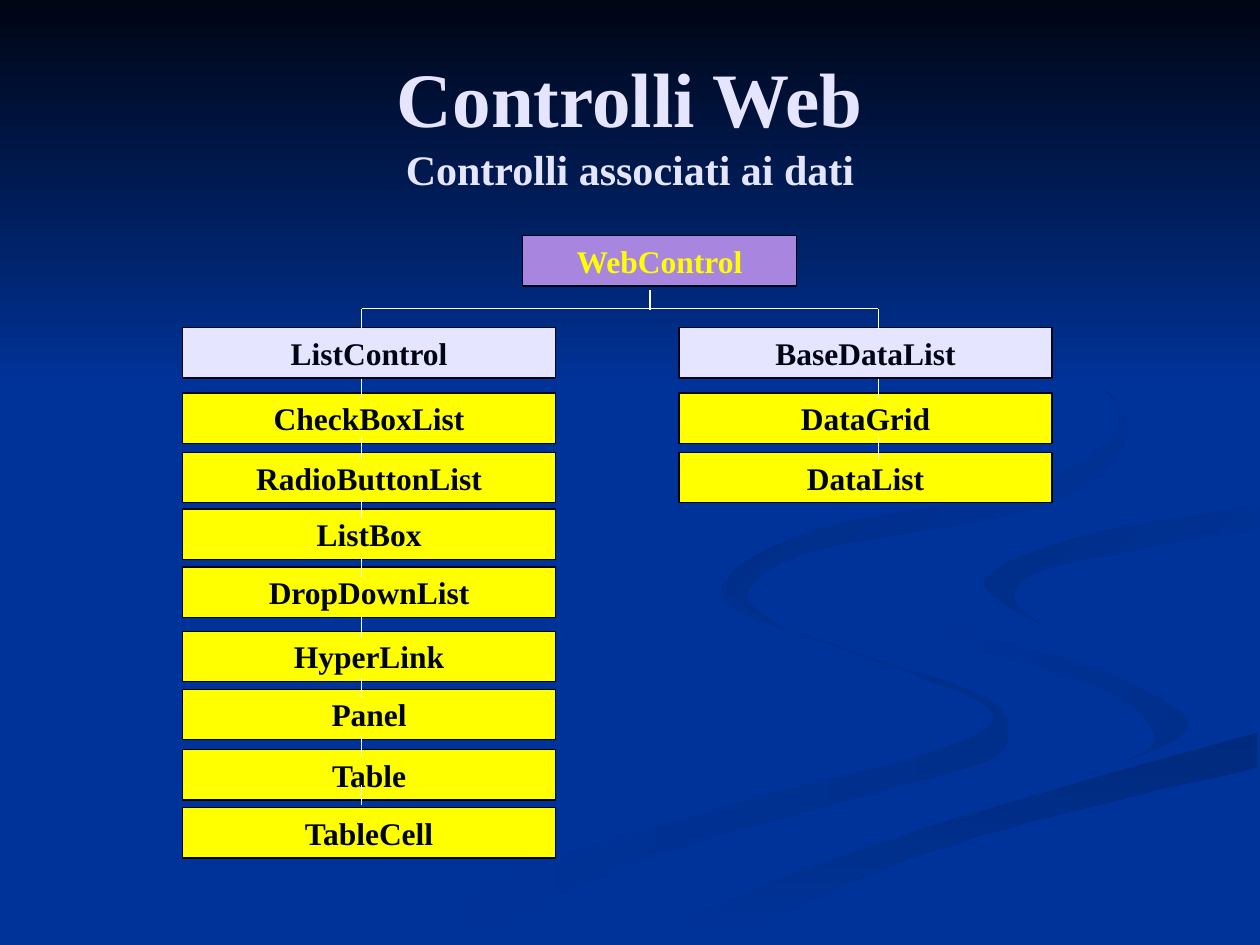
from pptx import Presentation
from pptx.dml.color import RGBColor
from pptx.enum.shapes import MSO_CONNECTOR, MSO_SHAPE
from pptx.enum.text import MSO_ANCHOR, PP_ALIGN
from pptx.oxml.ns import qn
from pptx.util import Pt
from lxml import etree

RECT, STRAIGHT = MSO_SHAPE.RECTANGLE, MSO_CONNECTOR.STRAIGHT
CENTER, MIDDLE = PP_ALIGN.CENTER, MSO_ANCHOR.MIDDLE
PX = 9144  # 100 px to the inch


class Theme:
    font = "Times New Roman"
    title_size, subtitle_size, box_size = 44, 24, 18
    hairline = 0.75
    blue, night, lavender = "003399", "000514", "E5E5FF"
    purple, yellow, white = "A886E0", "FFFF00", "FFFFFF"
    shades = ("002E8B", "002A7D", "002D86", "002B82")


# Content
TITLE = "Controlli Web"
SUBTITLE = "Controlli associati ai dati"
ROOT = "WebControl"
BRANCHES = [
    # heading, left edge, trunk x, children
    ("ListControl", 145, 287,
     ["CheckBoxList", "RadioButtonList", "ListBox", "DropDownList",
      "HyperLink", "Panel", "Table", "TableCell"]),
    ("BaseDataList", 539, 697, ["DataGrid", "DataList"]),
]

# Tree layout
ROOT_BOX = (415, 187, 217, 40)
ROOT_X, ROOT_LINK_TOP = 516, 230
BRANCH_TOP, BRANCH_W, BOX_H = 260, 296, 40
CHILD_TOPS = [312, 359, 404, 450, 501, 547, 595, 641]
LINK_TOPS = [301, 348, 395, 442, 490, 537, 584, 623]
LINK_H, RAIL_Y = 16, 245

# Background ribbons: gradient start, gradient end, clockwise angle,
# and the edges, each a smooth curve through a few points
DARK, DEEP, DIM, DUSK = Theme.shades
RIBBONS = [
    (Theme.blue, DARK, 0, [
        [(575, 459), (581, 483), (679, 519), (785, 562), (749, 594),
         (579, 639), (417, 690), (300, 749)],
        [(361, 749), (499, 687), (676, 634), (780, 605), (800, 581),
         (781, 553), (682, 519), (594, 485), (575, 459)]]),
    (Theme.blue, DARK, 45, [
        [(724, 464), (755, 505), (880, 549), (917, 585), (894, 605)],
        [(932, 589), (943, 570), (870, 530), (758, 498), (724, 464)]]),
    (DEEP, Theme.blue, 90, [
        [(571, 749), (695, 692), (821, 651), (998, 609)],
        [(998, 581), (797, 638), (630, 693), (503, 749)]]),
    (Theme.blue, Theme.blue, 0, [
        [(725, 464), (759, 498), (871, 530), (943, 570), (892, 605),
         (704, 655), (477, 749)],
        [(503, 749), (630, 693), (797, 638), (999, 581)],
        [(999, 538), (848, 503), (781, 463), (822, 434), (999, 402)],
        [(999, 387), (808, 417), (725, 464)]]),
    (DIM, Theme.blue, 45, [
        [(826, 496), (805, 472), (843, 448), (998, 420)],
        [(998, 402), (865, 424), (781, 460), (826, 496)]]),
    (DUSK, Theme.blue, 45, [
        [(622, 500), (593, 470), (649, 436), (825, 402), (894, 344),
         (843, 275), (762, 233)],
        [(846, 279), (889, 335), (818, 386), (649, 420), (577, 462),
         (622, 500)]]),
]
CURVE_STEPS = 6


def rgb(value):
    return RGBColor.from_string(value)


def px(*lengths):
    return [length * PX for length in lengths]


def style_font(font, size, color):
    font.name, font.size, font.bold = Theme.font, Pt(size), True
    font.color.rgb = rgb(color)


def smooth(knots):
    """Catmull-Rom curve through the knots."""
    padded = [knots[0], *knots, knots[-1]]
    curve = []
    for a, b, c, d in zip(padded, padded[1:], padded[2:], padded[3:]):
        for step in range(CURVE_STEPS):
            t = step / CURVE_STEPS
            curve.append(tuple(
                q + t / 2 * (r - p + t * (2 * p - 5 * q + 4 * r - s
                                          + t * (3 * (q - r) + s - p)))
                for p, q, r, s in zip(a, b, c, d)))
    return curve + [knots[-1]]


def paint(shape, start, end, angle):
    shape.shadow.inherit = False
    shape.line.fill.background()
    if start == end:
        shape.fill.solid()
        shape.fill.fore_color.rgb = rgb(start)
        return
    shape.fill.gradient()
    shape.fill.gradient_angle = (360 - angle) % 360
    for stop, color in zip(shape.fill.gradient_stops, (start, end)):
        stop.color.rgb = rgb(color)


def add_ribbon(slide, start, end, angle, edges):
    outline = [point for edge in edges for point in smooth(edge)]
    builder = slide.shapes.build_freeform(*outline[0], scale=PX)
    builder.add_line_segments(outline[1:], close=True)
    paint(builder.convert_to_shape(), start, end, angle)


def add_heading(slide):
    frame = slide.shapes.add_textbox(*px(50, 30, 900, 125)).text_frame
    frame.word_wrap, frame.vertical_anchor = True, MIDDLE
    frame.margin_top = 14 * PX
    heading = frame.paragraphs[0]
    heading.alignment = CENTER
    style_font(heading.font, Theme.title_size, Theme.lavender)
    heading.add_run().text = TITLE
    heading.add_line_break()
    subtitle = heading.add_run()
    subtitle.text = SUBTITLE
    subtitle.font.size = Pt(Theme.subtitle_size)


def add_box(slide, label, bounds, fill, color=Theme.night):
    box = slide.shapes.add_shape(RECT, *px(*bounds))
    box.shadow.inherit = False
    box.fill.solid()
    box.fill.fore_color.rgb = rgb(fill)
    box.line.color.rgb = rgb(Theme.night)
    box.line.width = Pt(Theme.hairline)
    box.text_frame.vertical_anchor = MIDDLE
    caption = box.text_frame.paragraphs[0]
    caption.text, caption.alignment = label, CENTER
    style_font(caption.font, Theme.box_size, color)


def add_link(slide, x1, y1, x2, y2):
    link = slide.shapes.add_connector(STRAIGHT, *px(x1, y1, x2, y2))
    link.line.color.rgb = rgb(Theme.white)
    link.line.width = Pt(Theme.hairline)
    etree.SubElement(link._element.spPr, qn("a:effectLst"))


def main():
    deck = Presentation()
    deck.slide_width, deck.slide_height = px(1000, 750)
    slide = deck.slides.add_slide(deck.slide_layouts[6])

    # Background
    slide.background.fill.solid()
    slide.background.fill.fore_color.rgb = rgb(Theme.blue)
    for ribbon in RIBBONS:
        add_ribbon(slide, *ribbon)
    sky = slide.shapes.add_shape(RECT, *px(0, 0, 1000, 308))
    paint(sky, Theme.night, Theme.blue, 90)

    # Heading and class boxes
    add_heading(slide)
    add_box(slide, ROOT, ROOT_BOX, Theme.purple, Theme.yellow)
    for name, left, _, children in BRANCHES:
        add_box(slide, name, (left, BRANCH_TOP, BRANCH_W, BOX_H), Theme.lavender)
        for child, top in zip(children, CHILD_TOPS):
            add_box(slide, child, (left, top, BRANCH_W, BOX_H), Theme.yellow)

    # Inheritance lines, over the boxes
    trunks = [trunk for _, _, trunk, _ in BRANCHES]
    add_link(slide, trunks[0], RAIL_Y, trunks[-1], RAIL_Y)
    add_link(slide, ROOT_X, ROOT_LINK_TOP, ROOT_X, ROOT_LINK_TOP + LINK_H)
    for _, _, trunk, children in BRANCHES:
        for top in [RAIL_Y] + LINK_TOPS[:len(children)]:
            add_link(slide, trunk, top, trunk, top + LINK_H)

    deck.save("out.pptx")


if __name__ == "__main__":
    main()
